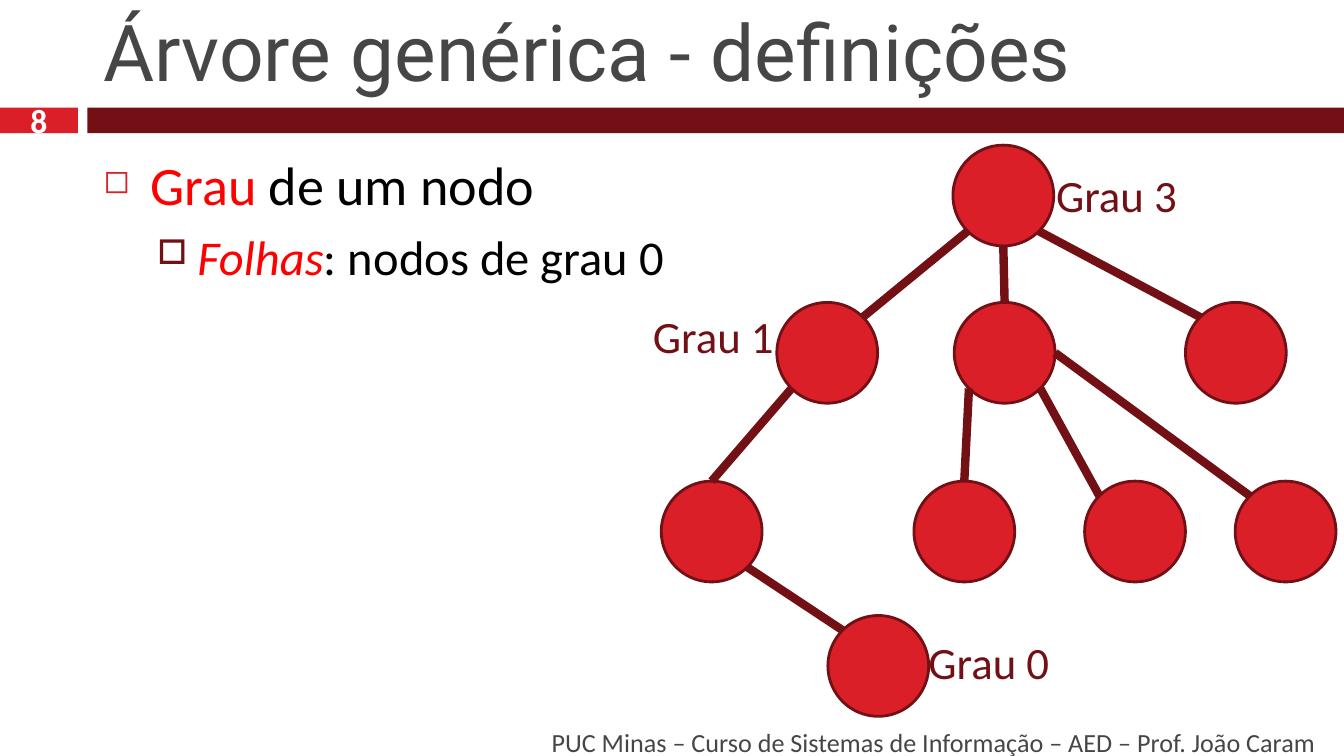
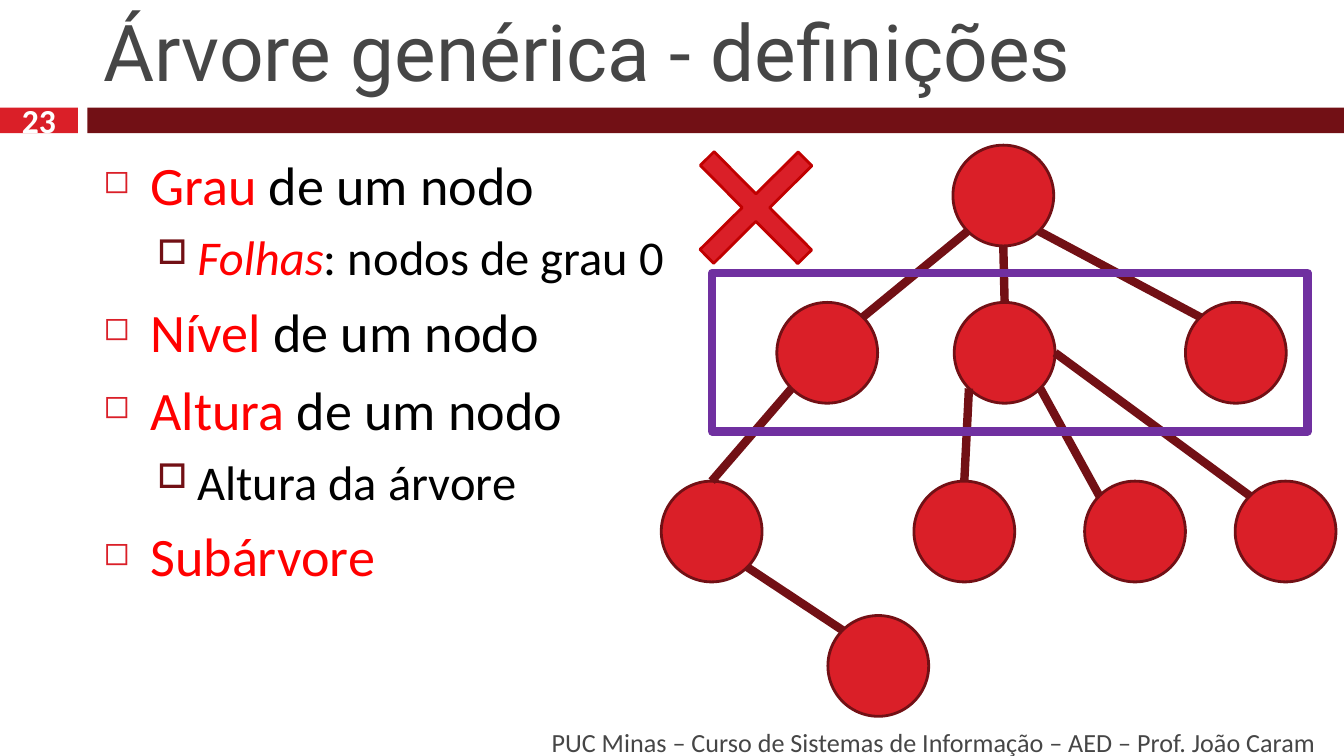
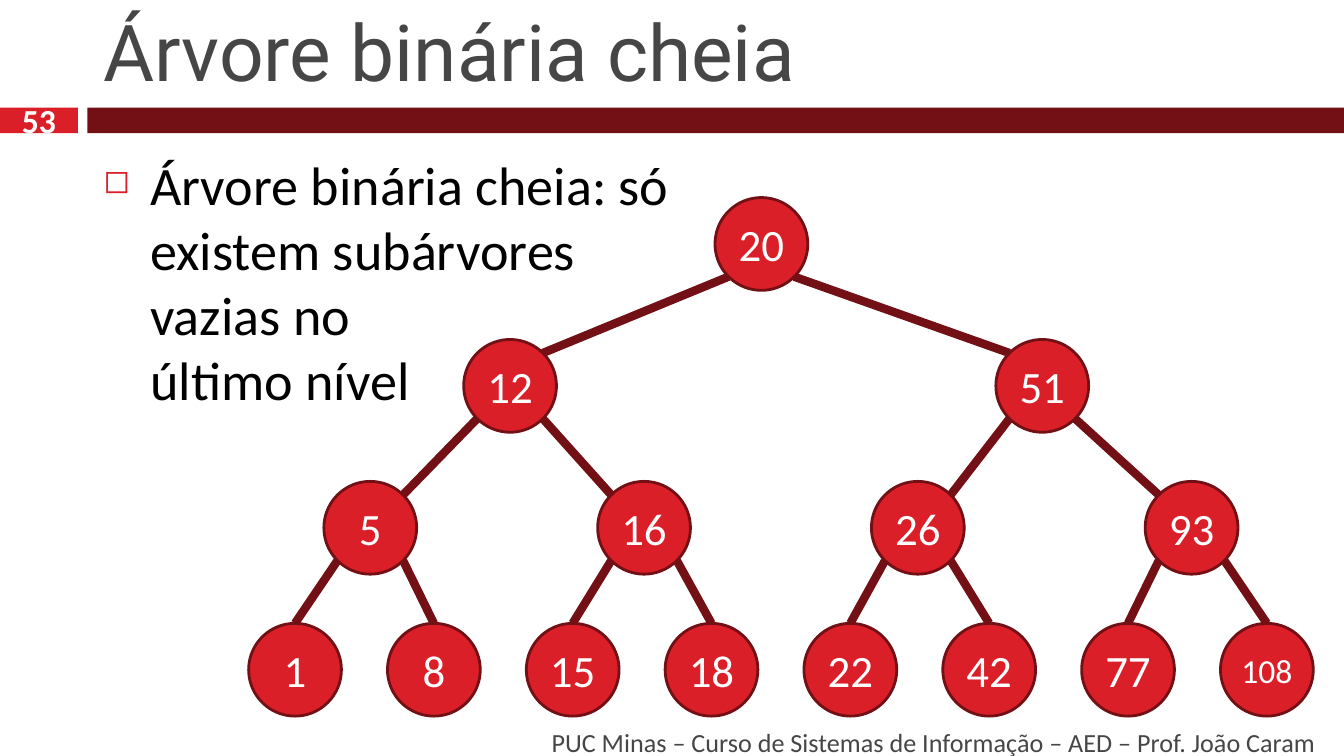
from collections import namedtuple
from math import sqrt

from lxml import etree
from pptx import Presentation
from pptx import util as u
from pptx.dml.color import RGBColor
from pptx.enum import shapes as es, text as et
from pptx.oxml.ns import qn

COLS, ROWS = 100, 56.25
CELL = u.Inches(10) / COLS
RED, WINE, GREY = "DA1F28", "721015", "464646"
HOT, BLACK, WHITE = "FF0000", "000000", "FFFFFF"
ALIGN, ANCHOR, SHAPE = et.PP_ALIGN, et.MSO_ANCHOR, es.MSO_SHAPE
FOOT = "PUC Minas – Curso de Sistemas de Informação – AED – Prof. João Caram"

Box = namedtuple("Box", "x y w h")
HEAD = Box(6.7, 1.3, 90.6, 6.4)
BAND = Box(0, 8, COLS, 1.9)
BODY = Box(6.7, 10.8, 45.8, 42.9)
BASE = Box(6.7, 53.7, 92.2, 3)
TREE = Box(49.2, 10.8, 50.2, 42.5)
FULL = Box(18.5, 14.7, 79.2, 38.6)

# Bullet levels: sign, colour, size %, text size, space before, left, hang
LEVELS = [("◻", RED, 60, 29, 7, 0.35, 0.35),
          ("□", WINE, 70, 26, 5.5, 0.7, 0.3)]

# Points on a circle, as shares of its box
NEAR = 0.5 - sqrt(2) / 4
FAR = 1 - NEAR
SITES = {"t": (0.5, 0), "b": (0.5, 1), "r": (1, 0.5), "tl": (NEAR, NEAR),
         "tr": (FAR, NEAR), "bl": (NEAR, FAR), "br": (FAR, FAR)}


def hue(code):
    return RGBColor.from_string(code)


def grid(*cells):
    return [u.Emu(round(c * CELL)) for c in cells]


def write(par, words, size=24, ink=WINE, face="Calibri", bold=False, slant=False):
    """Append words to a paragraph; a newline becomes a line break."""
    for n, line in enumerate(words.split("\n")):
        if n:
            par.add_line_break()
        run = par.add_run()
        run.text = line
        font = run.font
        font.size, font.name = u.Pt(size), face
        font.bold, font.italic = bold, slant
        font.color.rgb = hue(ink)


def label(frame, words, align=ALIGN.LEFT, anchor=ANCHOR.TOP, **form):
    """Fill a text frame with one paragraph."""
    frame.word_wrap = True
    frame.auto_size = et.MSO_AUTO_SIZE.NONE
    frame.vertical_anchor = anchor
    frame.paragraphs[0].alignment = align
    write(frame.paragraphs[0], words, **form)


def note(slide, box, words, **form):
    label(slide.shapes.add_textbox(*grid(*box)).text_frame, words, **form)


def draw(shapes, kind, box, fill=None, line=None, width=1.5):
    part = shapes.add_shape(kind, *grid(*box))
    part.shadow.inherit = False
    if fill:
        part.fill.solid()
        part.fill.fore_color.rgb = hue(fill)
    else:
        part.fill.background()
    if line:
        part.line.color.rgb = hue(line)
        part.line.width = u.Pt(width)
    else:
        part.line.fill.background()
    return part


def link(shapes, start, end):
    wire = shapes.add_connector(es.MSO_CONNECTOR.STRAIGHT, *grid(*start, *end))
    wire.line.color.rgb = hue(WINE)
    wire.line.width = u.Pt(4.5)
    etree.SubElement(wire.element.spPr, qn("a:effectLst"))


def bullet(par, level):
    sign, ink, share, _, gap, left, hang = LEVELS[level]
    par.level = level
    par.space_before = u.Pt(gap)
    props = par._p.get_or_add_pPr()
    props.set("marL", str(u.Inches(left)))
    props.set("indent", str(-u.Inches(hang)))
    tint = etree.SubElement(props, qn("a:buClr"))
    etree.SubElement(tint, qn("a:srgbClr"), val=ink)
    etree.SubElement(props, qn("a:buSzPct"), val=str(share * 1000))
    etree.SubElement(props, qn("a:buChar"), char=sign)


def points(slide, box, items):
    """Write the bullets: each is a level, a red lead and the black rest."""
    frame = slide.shapes.add_textbox(*grid(*box)).text_frame
    frame.word_wrap = True
    for n, (level, lead, rest) in enumerate(items):
        par = frame.add_paragraph() if n else frame.paragraphs[0]
        bullet(par, level)
        size = LEVELS[level][3]
        if lead:
            write(par, lead, size=size, ink=HOT, slant=level == 1)
        if rest:
            write(par, rest, size=size, ink=BLACK)


def page(deck, title, number, items):
    slide = deck.slides.add_slide(deck.slide_layouts[5])
    x, y, w, h = BAND
    tab, gap = 5.8, 0.7
    draw(slide.shapes, SHAPE.RECTANGLE, (x, y, tab, h), RED)
    draw(slide.shapes, SHAPE.RECTANGLE, (x + tab + gap, y, w - tab - gap, h), WINE)
    head = slide.shapes.title
    head.left, head.top, head.width, head.height = grid(*HEAD)
    label(head.text_frame, title, anchor=ANCHOR.BOTTOM, size=42, ink=GREY,
          face="Roboto")
    points(slide, BODY, items)
    note(slide, BASE, FOOT, align=ALIGN.RIGHT, anchor=ANCHOR.MIDDLE,
         size=14, ink=GREY)
    note(slide, (x, y, tab, h), str(number), align=ALIGN.CENTER,
         anchor=ANCHOR.MIDDLE, size=18, ink=WHITE, bold=True)
    return slide


def tree(shapes, box, side, nodes, edges):
    """Draw circles at (x, y) in the box, then lines between their sites."""
    for name, (x, y) in nodes.items():
        ball = draw(shapes, SHAPE.OVAL, (box.x + x, box.y + y, side, side), RED, WINE)
        if isinstance(name, int):
            frame = ball.text_frame
            frame.margin_left = frame.margin_right = u.Inches(0.04)
            label(frame, str(name), align=ALIGN.CENTER, anchor=ANCHOR.MIDDLE,
                  size=18 if name > 99 else 24, ink=WHITE)

    def spot(name, site):
        return [o + p + side * s
                for o, p, s in zip(box[:2], nodes[name], SITES[site])]

    for top, out, low, into in edges:
        link(shapes, spot(top, out), spot(low, into))


def common(slide, box):
    """Draw the generic tree as one group."""
    rows = [0, 11.7, 25, 35]
    nodes = {"root": (21.7, rows[0]),
             "mid": (21.8, rows[1]), "right": (39, rows[1]), "left": (8.6, rows[1]),
             "leaf c": (42.7, rows[2]), "leaf b": (31.5, rows[2]),
             "tip": (12.4, rows[3]),
             "low": (0, rows[2]), "leaf a": (18.8, rows[2])}
    edges = [("root", "bl", "left", "tr"), ("root", "br", "right", "tl"),
             ("root", "b", "mid", "t"), ("left", "bl", "low", "t"),
             ("low", "br", "tip", "tl"), ("mid", "bl", "leaf a", "t"),
             ("mid", "br", "leaf b", "tl"), ("mid", "r", "leaf c", "tl")]
    tree(slide.shapes.add_group_shape().shapes, box, 7.5, nodes, edges)


def binary(slide, box):
    levels = [[20], [12, 51], [5, 16, 26, 93], [1, 8, 15, 18, 22, 42, 77, 108]]
    starts = [(34.7, 0), (16, 39.6), (5.6, 20.37), (0, 10.33)]
    drop = 10.56
    nodes = {key: (left + n * step, row * drop)
             for row, (keys, (left, step)) in enumerate(zip(levels, starts))
             for n, key in enumerate(keys)}
    edges = []
    for above, keys in zip(levels, levels[1:]):
        for n, key in enumerate(keys):
            out, into = ("br", "tl") if n % 2 else ("bl", "tr")
            edges.append((above[n // 2], out, key,
                          "t" if keys is levels[-1] else into))
    tree(slide.shapes, box, 6.9, nodes, edges)


def degrees(slide, box):
    for x, y, rank in [(-1.6, 11.7, 1), (28.4, 1.2, 3), (18.9, 35.9, 0)]:
        note(slide, (box.x + x, box.y + y, 12.6, 5), f"Grau {rank}")


def marks(slide, box):
    """Frame the second level and cross it out."""
    draw(slide.shapes, SHAPE.RECTANGLE, (box.x + 3.8, box.y + 9.5, 44.3, 11.8),
         line="7030A0", width=4.5)
    cross = draw(slide.shapes, SHAPE.CROSS,
                 (box.x + 1.9, box.y - 0.5, 10.3, 10.3), RED, "C00000")
    cross.adjustments[0] = 0.43
    cross.rotation = 315.2


def main():
    deck = Presentation()
    deck.slide_width, deck.slide_height = grid(COLS, ROWS)
    title = "Árvore genérica - definições"
    items = [(0, "Grau", " de um nodo"), (1, "Folhas", ": nodos de grau 0")]

    slide = page(deck, title, 8, items)
    degrees(slide, TREE)
    common(slide, TREE)

    more = [(0, "Nível ", "de um nodo"), (0, "Altura", " de um nodo"),
            (1, "", "Altura da árvore"), (0, "Subárvore", "")]
    slide = page(deck, title, 23, items + more)
    common(slide, TREE)
    marks(slide, TREE)

    rule = "Árvore binária cheia: só existem subárvores vazias no \núltimo nível"
    slide = page(deck, "Árvore binária cheia", 53, [(0, "", rule)])
    binary(slide, FULL)
    deck.save("out.pptx")


if __name__ == "__main__":
    main()
